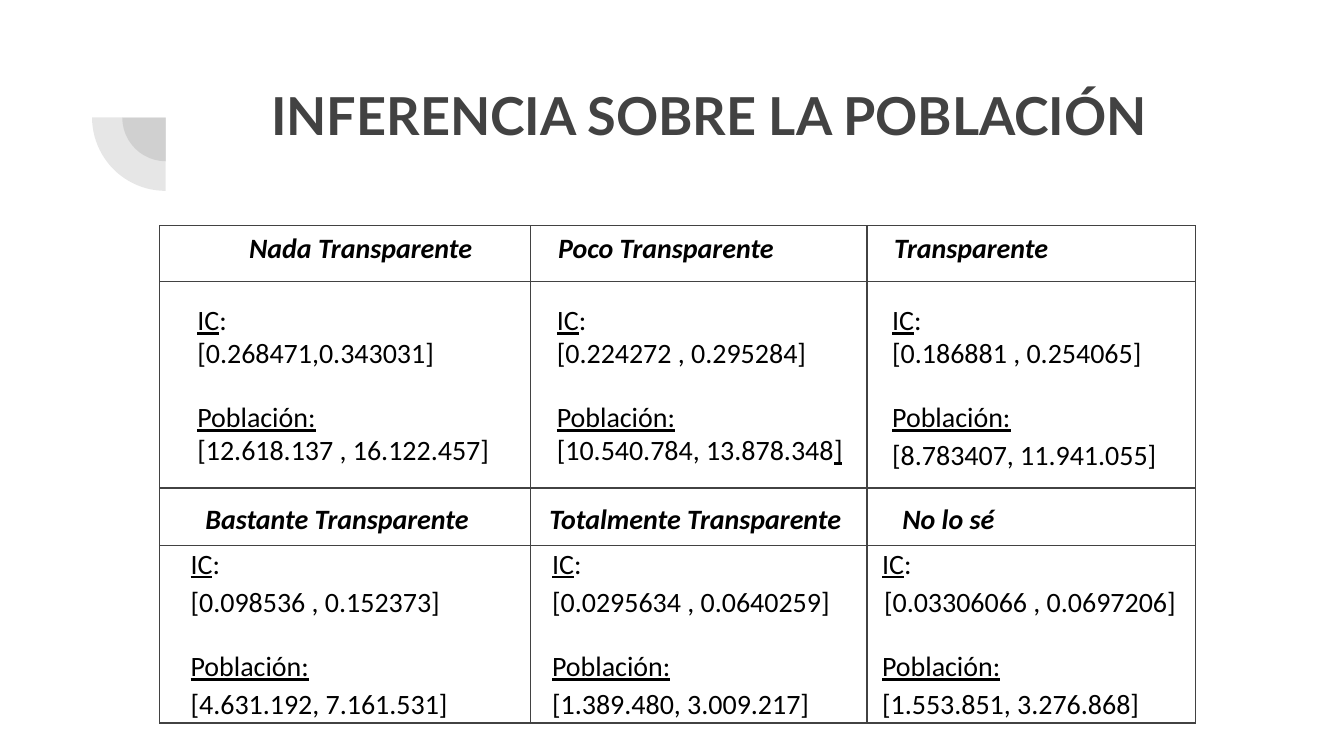
"""Build the slide of population inference by level of perceived transparency."""
from dataclasses import dataclass

from lxml.etree import SubElement
from pptx import Presentation
from pptx.dml.color import RGBColor
from pptx.enum.shapes import MSO_CONNECTOR, MSO_SHAPE
from pptx.enum.text import MSO_ANCHOR, PP_ALIGN
from pptx.oxml.ns import qn
from pptx.util import Pt

PX = 4572
GRAY = RGBColor(0x42, 0x42, 0x42)
BLACK = RGBColor(0x00, 0x00, 0x00)


@dataclass
class Line:
    runs: list
    spacing: float = 1.0
    before: int = 0
    align: PP_ALIGN = PP_ALIGN.LEFT


@dataclass
class SlideBuilder:
    slide: object
    font: str = "Calibri"
    size: int = 15
    inset: int = 20
    rule_width: float = 0.75

    def text(self, left, top, width, height, lines, *, font=None, size=None,
             color=BLACK, bold=False, italic=False):
        frame = self.slide.shapes.add_textbox(
            left * PX, top * PX, width * PX, height * PX).text_frame
        frame.word_wrap = True
        frame.vertical_anchor = MSO_ANCHOR.TOP
        frame.margin_left = frame.margin_right = self.inset * PX
        frame.margin_top = frame.margin_bottom = self.inset * PX
        for index, line in enumerate(lines):
            paragraph = frame.add_paragraph() if index else frame.paragraphs[0]
            paragraph.alignment = line.align
            paragraph.line_spacing = line.spacing
            paragraph.space_before = Pt(line.before)
            for words, underlined in line.runs:
                run = paragraph.add_run()
                run.text = words
                run.font.name = font or self.font
                run.font.size = Pt(size or self.size)
                run.font.color.rgb = color
                run.font.bold = bold
                run.font.italic = italic
                run.font.underline = underlined

    def rule(self, x1, y1, x2, y2):
        rule = self.slide.shapes.add_connector(
            MSO_CONNECTOR.STRAIGHT, x1 * PX, y1 * PX, x2 * PX, y2 * PX)
        rule.line.color.rgb = GRAY
        rule.line.width = Pt(self.rule_width)
        SubElement(rule._element.spPr, qn("a:effectLst"))

    def quarter(self, left, top, side, opacity):
        quarter = self.slide.shapes.add_shape(
            MSO_SHAPE.PIE, left * PX, top * PX, side * PX, side * PX)
        quarter.rotation = 270
        quarter.adjustments[0] = 108
        quarter.adjustments[1] = 162
        quarter.shadow.inherit = False
        quarter.fill.solid()
        quarter.fill.fore_color.rgb = GRAY
        quarter.line.fill.background()
        tint = quarter._element.spPr.find(qn("a:solidFill"))[0]
        SubElement(tint, qn("a:alpha"), val=str(opacity * 1000))

    def estimate(self, left, top, interval, population, spacings,
                 align=PP_ALIGN.LEFT):
        self.text(left, top, 480, 212, [
            Line([("IC", True), (":", False)]),
            Line([(interval, False)], spacings[0], align=align),
            Line([("Población:", True)], before=16),
            Line(population, spacings[1]),
        ])


def main():
    presentation = Presentation()
    presentation.slide_width = 2000 * PX
    presentation.slide_height = 1125 * PX
    builder = SlideBuilder(
        presentation.slides.add_slide(presentation.slide_layouts[6]))

    for left, top, side in ((182, 110, 130), (137, 65, 219)):
        builder.quarter(left, top, side, 13)

    builder.text(286, 104, 1538, 218,
                 [Line([("INFERENCIA SOBRE LA POBLACIÓN", False)],
                       align=PP_ALIGN.CENTER)],
                 font="Lato", size=28, color=GRAY, bold=True)

    for x in (237, 789, 1290, 1779):
        builder.rule(x, 335, x, 1077)
    for y in (336, 419, 726, 812, 1076):
        builder.rule(238, y, 1779, y)

    headings = (
        (351, 323, 436, 102, "Nada Transparente"),
        (811, 323, 486, 102, "Poco Transparente"),
        (1311, 323, 512, 102, "Transparente"),
        (286, 726, 436, 102, "Bastante Transparente"),
        (798, 726, 500, 86, "Totalmente Transparente"),
        (1323, 726, 324, 86, "No lo sé"),
    )
    for left, top, width, height, level in headings:
        builder.text(left, top, width, height, [Line([(level, False)])],
                     bold=True, italic=True)

    tight, mixed, loose = (1, 1), (1, 1.15), (1.15, 1.15)
    builder.estimate(274, 430, "[0.268471,0.343031]",
                     [("[12.618.137 , 16.122.457]", False)], tight)
    builder.estimate(809, 430, "[0.224272 , 0.295284]",
                     [("[10.540.784, 13.878.348", False), ("]", True)], tight)
    builder.estimate(1308, 430, "[0.186881 , 0.254065]",
                     [("[8.783407, 11.941.055]", False)], mixed)
    builder.estimate(264, 793, "[0.098536 , 0.152373]",
                     [("[4.631.192, 7.161.531]", False)], loose)
    builder.estimate(802, 793, "[0.0295634 , 0.0640259]",
                     [("[1.389.480, 3.009.217]", False)], loose)
    builder.estimate(1293, 793, "[0.03306066 , 0.0697206]",
                     [("[1.553.851, 3.276.868]", False)], loose,
                     PP_ALIGN.CENTER)

    presentation.save("out.pptx")


if __name__ == "__main__":
    main()
